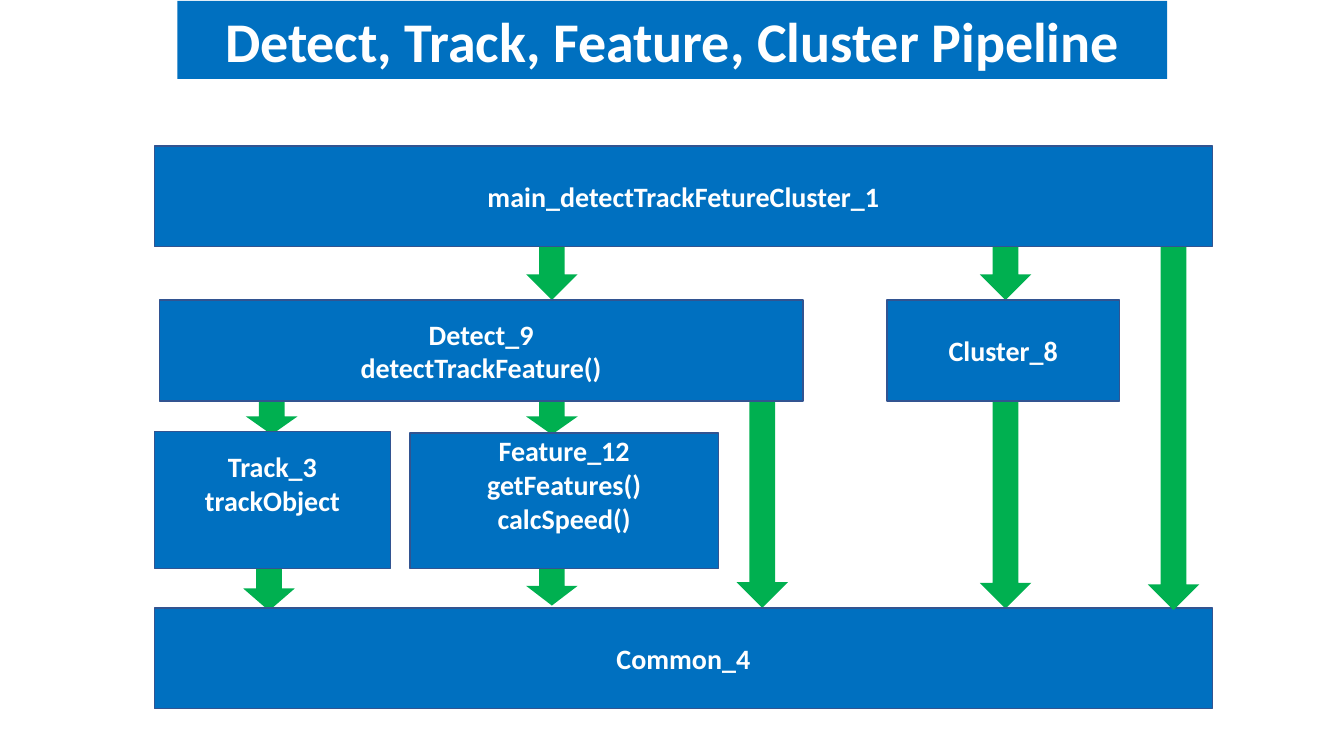
"""Build the detect, track, feature and cluster pipeline slide."""
from pptx import Presentation
from pptx.dml.color import RGBColor
from pptx.enum.shapes import MSO_SHAPE as Shape
from pptx.enum.text import MSO_ANCHOR as Anchor, MSO_AUTO_SIZE as AutoSize, PP_ALIGN as Align
from pptx.util import Inches, Pt

COLORS = {"box": "0070C0", "outline": "325491", "arrow": "00B050", "text": "FFFFFF"}
ARROW_WIDTH = 3.83
BAR_HEIGHT = 13.35
LEFT, FULL_WIDTH = 11.5, 78.7
MAIN_TOP, MODULE_TOP, COMMON_TOP = 19.3, 39.7, 80.4
TRACK_X, FEATURE_X, DETECT_X, CLUSTER_X, MAIN_X = 18.2, 39.15, 54.8, 72.9, 85.4


class PipelineSlide:
    """Draw styled elements placed in percent of the slide's width and height."""

    def __init__(self, presentation, font_name="Calibri"):
        self.presentation = presentation
        self.font_name = font_name
        self.slide = presentation.slides.add_slide(presentation.slide_layouts[5])

    def place(self, left, top, width, height):
        """Turn shares of the slide into lengths."""
        across = self.presentation.slide_width / 100
        down = self.presentation.slide_height / 100
        return [round(length) for length in
                (left * across, top * down, width * across, height * down)]

    def paint(self, shape, color):
        """Fill a shape with a named color."""
        shape.fill.solid()
        shape.fill.fore_color.rgb = RGBColor.from_string(COLORS[color])

    def label(self, shape, lines, size, anchor):
        """Set centred bold lines in a shape."""
        frame = shape.text_frame
        frame.text = "\n".join(lines)
        frame.word_wrap = True
        frame.auto_size = AutoSize.NONE
        frame.vertical_anchor = anchor
        for paragraph in frame.paragraphs:
            paragraph.alignment = Align.CENTER
            font = paragraph.font
            font.name, font.size, font.bold = self.font_name, Pt(size), True
            font.color.rgb = RGBColor.from_string(COLORS["text"])

    def title(self, text, *area):
        """Move and format the title placeholder."""
        shape = self.slide.shapes.title
        shape.left, shape.top, shape.width, shape.height = self.place(*area)
        self.paint(shape, "box")
        self.label(shape, [text], 40, Anchor.TOP)

    def shape(self, kind, color, *area):
        """Add a filled preset shape without shadow."""
        shape = self.slide.shapes.add_shape(kind, *self.place(*area))
        shape.shadow.inherit = False
        self.paint(shape, color)
        return shape

    def arrow(self, left, top, bottom):
        """Add a down arrow between two heights."""
        arrow = self.shape(Shape.DOWN_ARROW, "arrow", left, top, ARROW_WIDTH, bottom - top)
        arrow.line.fill.background()

    def box(self, lines, left, top, width, height=BAR_HEIGHT, bottom_inset=0.05):
        """Add an outlined module box."""
        box = self.shape(Shape.RECTANGLE, "box", left, top, width, height)
        box.line.color.rgb = RGBColor.from_string(COLORS["outline"])
        box.line.width = Pt(1)
        self.label(box, lines, 20, Anchor.MIDDLE)
        box.text_frame.margin_bottom = Inches(bottom_inset)


def main():
    """Draw the pipeline and save it."""
    presentation = Presentation()
    presentation.slide_width, presentation.slide_height = Inches(13.33), Inches(7.5)
    pipeline = PipelineSlide(presentation)
    pipeline.title("Detect, Track, Feature, Cluster Pipeline", 13.2, 0.13, 73.65, 10.3)

    for left, top, bottom in [
        (CLUSTER_X, 26.4, MODULE_TOP),
        (FEATURE_X, 30.4, MODULE_TOP),
        (TRACK_X + 0.1, 52.7, 57.5),
        (FEATURE_X, 52.7, 57.5),
        (CLUSTER_X, 41.5, 80.5),
        (DETECT_X, 52.7, COMMON_TOP),
        (FEATURE_X, 74.9, 80.1),
        (TRACK_X - 0.1, 74.9, 80.8),
    ]:
        pipeline.arrow(left, top, bottom)

    pipeline.box(["Cluster_8"], 66, MODULE_TOP, 17.3)
    pipeline.box(["Detect_9", "detectTrackFeature()"], 11.85, MODULE_TOP, 47.9)
    pipeline.box(["Track_3", "trackObject"], LEFT, 57.1, 17.55, 18.1, bottom_inset=0.38)
    pipeline.box(["Common_4"], LEFT, COMMON_TOP, FULL_WIDTH)
    pipeline.box(["Feature_12", "getFeatures()", "calcSpeed()"],
                 30.5, 57.3, 22.95, 17.9, bottom_inset=0.38)
    pipeline.arrow(MAIN_X, 31.6, 80.7)
    pipeline.box(["main_detectTrackFetureCluster_1"], LEFT, MAIN_TOP, FULL_WIDTH)
    presentation.save("out.pptx")


if __name__ == "__main__":
    main()
